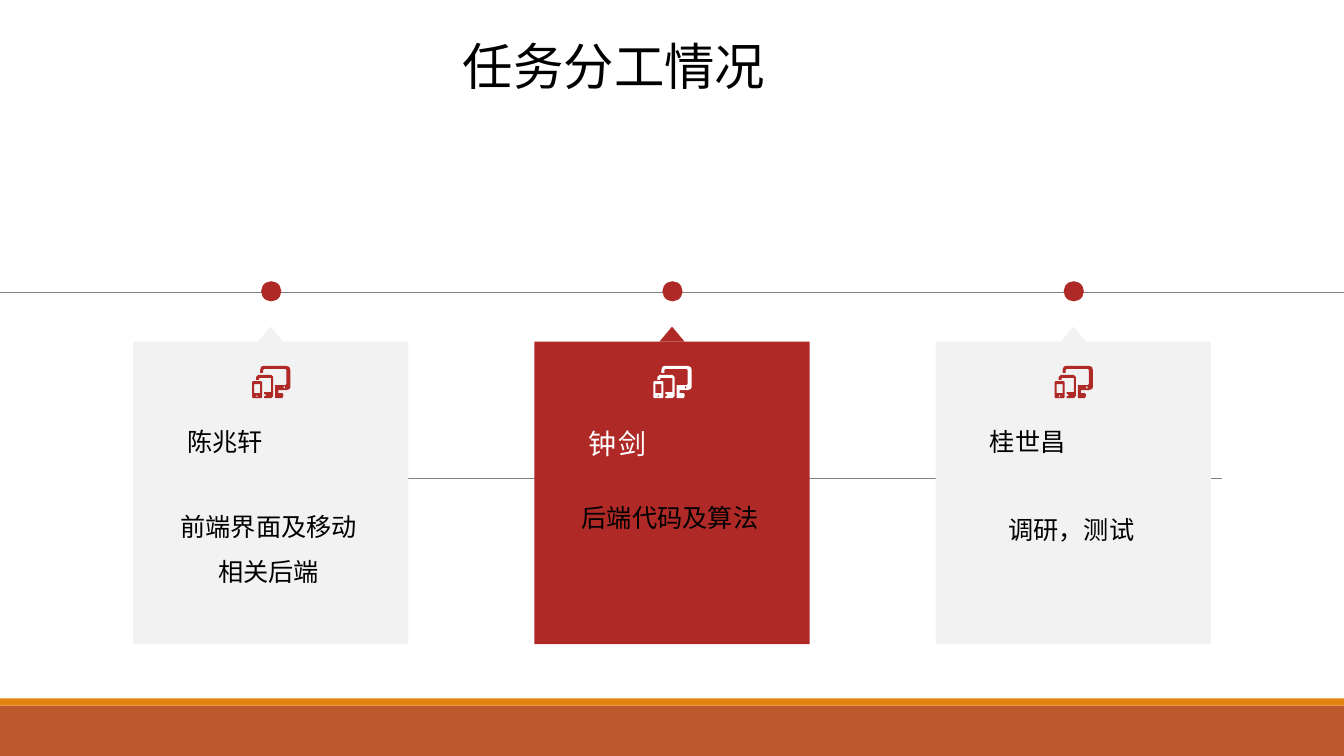
"""Build the task assignment slide: three member cards under a timeline."""
from dataclasses import dataclass

from lxml import etree
from pptx import Presentation
from pptx import util as u
from pptx.dml.color import RGBColor
from pptx.enum import shapes, text
from pptx.oxml.ns import qn

FONT = "Calibri"
RED, PALE, GREY, BLACK, WHITE = "AF2926", "F2F2F2", "808080", "000000", "FFFFFF"
WIDTH, HEIGHT = 13.33, 7.5
CARD_LEFT, CARD_TOP, CARD_W, CARD_H, CARD_STEP = 1.32, 3.39, 2.73, 3, 3.98
ICON_TOP = 3.63
ICON_OUTLINES = [
    [(5, 29), (6, 30), (5, 31), (4, 30)],
    [(32, 20), (33, 21), (32, 23), (31, 21)],
    [(2, 18), (8, 18), (8, 27), (2, 27)],
    [(1, 15), (9, 15), (10, 16), (10, 31), (9, 32), (1, 32), (0, 31), (0, 16)],
    [(6, 9), (19, 9), (21, 11), (21, 30), (19, 32), (12, 32), (12, 30), (13, 30),
     (14, 29), (13, 28), (12, 28), (12, 26), (19, 26), (19, 12), (7, 12), (7, 14),
     (4, 14), (4, 11)],
    [(11, 0), (34, 0), (37, 1), (38, 4), (38, 21), (37, 23), (34, 24), (26, 24),
     (26, 27), (30, 27), (31, 28), (31, 30), (30, 32), (23, 32), (23, 19), (33, 19),
     (34, 18), (34, 4), (33, 3), (12, 3), (11, 4), (11, 7), (8, 7), (8, 4), (9, 1)],
]


@dataclass
class Member:
    name: str
    task: str
    task_top: float
    task_height: float = 0.5
    card: str = PALE
    icon: str = RED
    name_color: str = BLACK
    name_size: int = 18
    name_spacing: int = 0


MEMBERS = [
    Member("陈兆轩", "前端界面及移动相关后端", 4.87, task_height=0.95),
    Member("钟剑", "后端代码及算法", 4.78, card=RED, icon=WHITE,
           name_color=WHITE, name_size=20, name_spacing=1),
    Member("桂世昌", "调研，测试", 4.9),
]


def rgb(value: str) -> RGBColor:
    return RGBColor.from_string(value)


def paint(sp, color: str) -> None:
    sp.shadow.inherit = False
    sp.fill.solid()
    sp.fill.fore_color.rgb = rgb(color)
    sp.line.fill.background()


def add_block(s, kind, left: float, top: float, width: float, height: float, color: str) -> None:
    sp = s.shapes.add_shape(kind, *map(u.Inches, (left, top, width, height)))
    paint(sp, color)


def add_rule(s, left: float, right: float, y: float, weight: float) -> None:
    line = s.shapes.add_connector(
        shapes.MSO_CONNECTOR.STRAIGHT, *map(u.Inches, (left, y, right, y)))
    line.line.color.rgb = rgb(GREY)
    line.line.width = u.Pt(weight)
    etree.SubElement(line._element.spPr, qn("a:effectLst"))


def write(sp, words: str, size: int, color: str, align, spacing: float = 1, tracking: int = 0) -> None:
    tf = sp.text_frame
    tf.word_wrap = True
    tf.auto_size = text.MSO_AUTO_SIZE.NONE
    tf.vertical_anchor = text.MSO_ANCHOR.TOP
    p = tf.paragraphs[0]
    p.alignment = align
    p.line_spacing = spacing
    p.font.name = FONT
    p.font.size = u.Pt(size)
    p.font.color.rgb = rgb(color)
    r = p.add_run()
    r.text = words
    if tracking:
        r._r.get_or_add_rPr().set("spc", str(tracking * 100))


def add_text(s, left: float, top: float, width: float, height: float, *style, **spacing) -> None:
    box = s.shapes.add_textbox(*map(u.Inches, (left, top, width, height)))
    write(box, *style, **spacing)


def add_icon(s, left: float, color: str) -> None:
    first, *others = ICON_OUTLINES
    builder = s.shapes.build_freeform(*first[0], scale=u.Inches(0.01))
    builder.add_line_segments(first[1:], close=True)
    for outline in others:
        builder.move_to(*outline[0])
        builder.add_line_segments(outline[1:], close=True)
    paint(builder.convert_to_shape(u.Inches(left), u.Inches(ICON_TOP)), color)


def add_member(s, left: float, m: Member) -> None:
    kinds = shapes.MSO_SHAPE
    add_block(s, kinds.RECTANGLE, left, CARD_TOP, CARD_W, CARD_H, m.card)
    add_icon(s, left + 1.18, m.icon)
    add_text(s, left + 0.34, m.task_top, 2.01, m.task_height,
             m.task, 18, BLACK, text.PP_ALIGN.CENTER, spacing=1.5)
    add_text(s, left + 0.44, 4.18, 1.85, 0.4, m.name, m.name_size, m.name_color,
             text.PP_ALIGN.JUSTIFY, tracking=m.name_spacing)
    add_block(s, kinds.ISOSCELES_TRIANGLE, left + 1.24, 3.24, 0.25, 0.15, m.card)
    add_block(s, kinds.OVAL, left + 1.27, 2.79, 0.2, 0.2, RED)


def main() -> None:
    prs = Presentation()
    prs.slide_width, prs.slide_height = u.Inches(WIDTH), u.Inches(HEIGHT)
    s = prs.slides.add_slide(prs.slide_layouts[5])
    rect = shapes.MSO_SHAPE.RECTANGLE
    add_block(s, rect, 0, 7, WIDTH, 0.5, "BD582C")
    add_block(s, rect, 0, 6.93, WIDTH, 0.07, "E48312")
    add_rule(s, CARD_LEFT, 12.12, 4.75, 0.5)
    title = s.shapes.title
    title.left, title.top, title.width, title.height = map(u.Inches, (4.49, 0.3, 4.36, 0.71))
    write(title, "任务分工情况", 36, BLACK, text.PP_ALIGN.JUSTIFY)
    add_rule(s, 0, WIDTH, 2.9, 1)
    for i, member in enumerate(MEMBERS):
        add_member(s, CARD_LEFT + i * CARD_STEP, member)
    prs.save("out.pptx")


if __name__ == "__main__":
    main()
